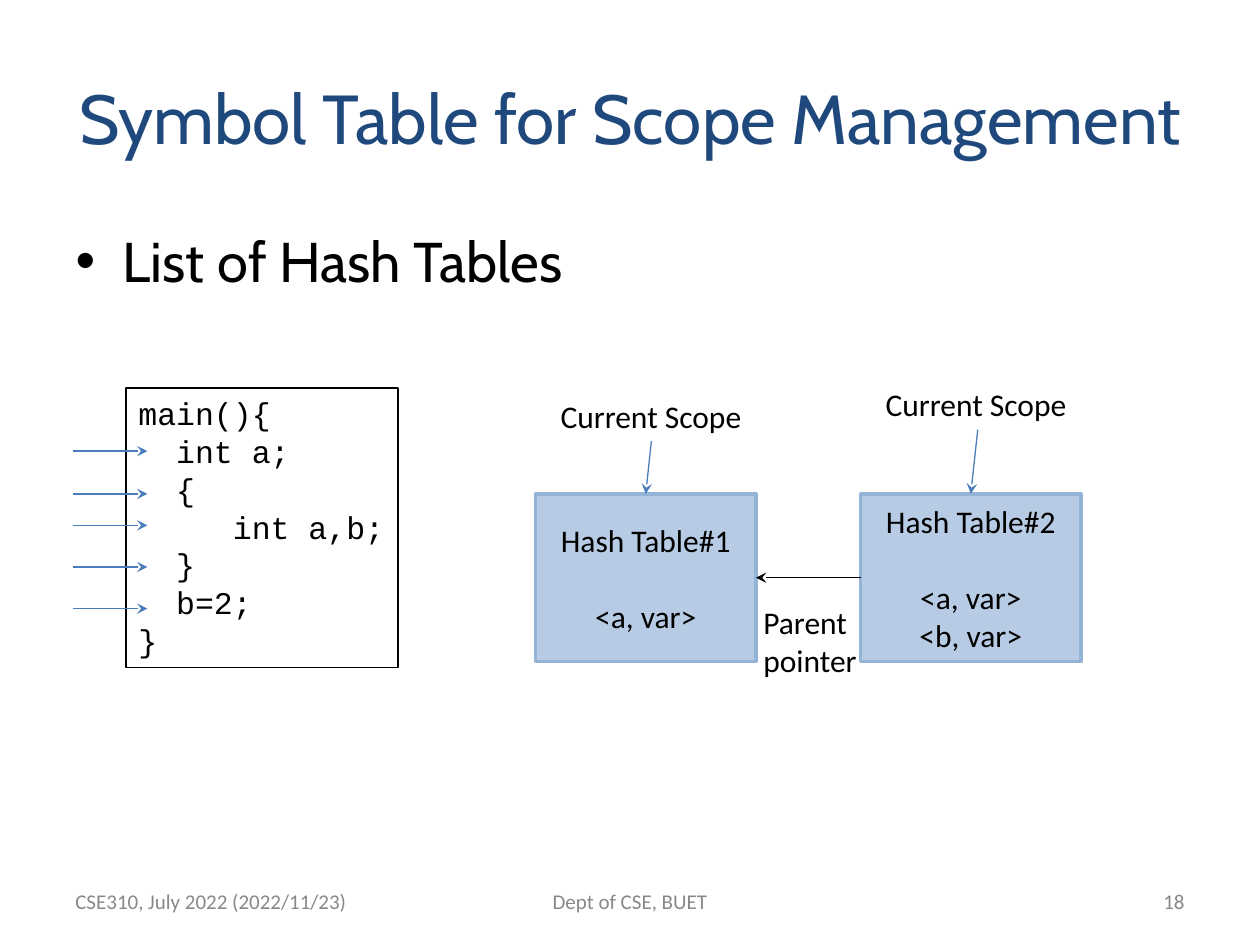
from dataclasses import dataclass
from typing import Any, Optional

from lxml import etree
from pptx import Presentation
from pptx.dml.color import RGBColor
from pptx.enum.shapes import MSO_CONNECTOR, MSO_SHAPE
from pptx.enum.text import MSO_ANCHOR, MSO_AUTO_SIZE, PP_ALIGN
from pptx.oxml.ns import qn
from pptx.util import Inches, Pt

RECT = MSO_SHAPE.RECTANGLE
STRAIGHT = MSO_CONNECTOR.STRAIGHT
TOP, MIDDLE = MSO_ANCHOR.TOP, MSO_ANCHOR.MIDDLE
LEFT, CENTER, RIGHT = PP_ALIGN.LEFT, PP_ALIGN.CENTER, PP_ALIGN.RIGHT
NO_FIT = MSO_AUTO_SIZE.NONE

BLACK = RGBColor(0x00, 0x00, 0x00)
NAVY = RGBColor(0x1F, 0x49, 0x7D)
BLUE = RGBColor(0x4A, 0x7D, 0xBA)
PALE = RGBColor(0xB7, 0xCC, 0xE4)
EDGE = RGBColor(0x93, 0xB3, 0xD7)
GREY = RGBColor(0x88, 0x88, 0x88)

TITLE_FONT = {"name": "Cabin", "size": Pt(39.6), "color": NAVY}
BODY_FONT = {"name": "Cabin", "size": Pt(32), "color": BLACK}
CODE_FONT = {"name": "Courier New", "size": Pt(18), "color": BLACK}
LABEL_FONT = {"name": "Calibri", "size": Pt(18), "color": BLACK}
FOOTER_FONT = {"name": "Calibri", "size": Pt(12), "color": GREY}

CODE_CHAR = 0.15
TABLE_TOP, TABLE_W, TABLE_H = 3.92, 1.75, 1.33
LINE_GAP = Pt(22)


@dataclass
class Box:
    left: float
    top: float
    width: float
    height: float

    def lengths(self) -> list:
        return [Inches(v) for v in (self.left, self.top, self.width, self.height)]


@dataclass
class Arrow:
    x1: float
    y1: float
    x2: float
    y2: float
    color: RGBColor = BLUE


@dataclass
class Label:
    box: Box
    lines: list
    font: dict
    align: Any = LEFT
    anchor: Any = TOP
    wrap: bool = False


@dataclass
class HashTable:
    left: float
    name: str
    entries: list
    scope: Box
    pointer_x: float


CODE = [(0, "main(){"), (2, "int a;"), (2, "{"), (5, "int a,b;"),
        (2, "}"), (2, "b=2;"), (0, "}")]
STEP_YS = [3.58, 3.92, 4.17, 4.5, 4.83]
TABLES = [
    HashTable(4.25, "Hash Table#1", ["<a, var>"], Box(4.35, 3.1, 1.65, 0.4), 5.17),
    HashTable(6.83, "Hash Table#2", ["<a, var>", "<b, var>"],
              Box(6.93, 3.01, 1.65, 0.4), 7.76),
]
LABELS = [
    Label(Box(5.96, 4.74, 0.95, 1.01), ["Parent", "pointer"], LABEL_FONT),
    Label(Box(0.5, 6.95, 2.5, 0.4), ["CSE310, July 2022 (2022/11/23)"],
          FOOTER_FONT, LEFT, MIDDLE, True),
    Label(Box(4.25, 6.95, 1.5, 0.4), ["Dept of CSE, BUET"],
          FOOTER_FONT, CENTER, MIDDLE, True),
    Label(Box(7.17, 6.95, 2.33, 0.4), ["18"], FOOTER_FONT, RIGHT, MIDDLE, True),
]


def set_font(font, fmt: dict) -> None:
    for key, value in fmt.items():
        if key == "color":
            font.color.rgb = value
        else:
            setattr(font, key, value)


def write(sp, lines: list, fmt: dict, align, anchor, wrap: bool = True) -> list:
    tf = sp.text_frame
    settings = {"word_wrap": wrap, "vertical_anchor": anchor, "auto_size": NO_FIT,
                "margin_left": Inches(0.1), "margin_right": Inches(0.1),
                "margin_top": Inches(0.05), "margin_bottom": Inches(0.05)}
    for key, value in settings.items():
        setattr(tf, key, value)
    for i, line in enumerate(lines):
        p = tf.add_paragraph() if i else tf.paragraphs[0]
        p.alignment = align
        r = p.add_run()
        r.text = line
        set_font(r.font, fmt)
    return list(tf.paragraphs)


def place(sp, box: Box) -> None:
    sp.left, sp.top, sp.width, sp.height = box.lengths()


def add_label(slide, label: Label) -> None:
    sp = slide.shapes.add_textbox(*label.box.lengths())
    write(sp, label.lines, label.font, label.align, label.anchor, label.wrap)


def add_rect(slide, box: Box, fill: Optional[RGBColor], line: RGBColor, weight: float):
    sp = slide.shapes.add_shape(RECT, *box.lengths())
    sp.shadow.inherit = False
    if fill is None:
        sp.fill.background()
    else:
        sp.fill.solid()
        sp.fill.fore_color.rgb = fill
    sp.line.color.rgb = line
    sp.line.width = Pt(weight)
    return sp


def add_arrow(slide, arrow: Arrow) -> None:
    ends = [Inches(v) for v in (arrow.x1, arrow.y1, arrow.x2, arrow.y2)]
    cn = slide.shapes.add_connector(STRAIGHT, *ends)
    cn.line.color.rgb = arrow.color
    cn.line.width = Pt(0.75)
    tail = etree.SubElement(cn.line._get_or_add_ln(), qn("a:tailEnd"))
    tail.set("type", "stealth")
    etree.SubElement(cn._element.spPr, qn("a:effectLst"))


def add_code(slide) -> None:
    sp = add_rect(slide, Box(1, 3.08, 2.16, 2.22), None, BLACK, 0.75)
    paras = write(sp, [text for _, text in CODE], CODE_FONT, LEFT, TOP, False)
    for p, (indent, _) in zip(paras, CODE):
        p._p.get_or_add_pPr().set("marL", str(Inches(indent * CODE_CHAR)))
    for y in STEP_YS:
        add_arrow(slide, Arrow(0.58, y, 1.17, y))


def add_hash_table(slide, table: HashTable) -> None:
    box = Box(table.left, TABLE_TOP, TABLE_W, TABLE_H)
    sp = add_rect(slide, box, PALE, EDGE, 2)
    paras = write(sp, [table.name, *table.entries], LABEL_FONT, CENTER, MIDDLE)
    paras[0].space_after = LINE_GAP
    add_label(slide, Label(table.scope, ["Current Scope"], LABEL_FONT))
    add_arrow(slide, Arrow(table.pointer_x, table.scope.top + table.scope.height,
                           table.left + TABLE_W / 2, TABLE_TOP))


def main() -> None:
    prs = Presentation()
    prs.slide_width, prs.slide_height = Inches(10), Inches(7.5)
    slide = prs.slides.add_slide(prs.slide_layouts[1])

    title, body = slide.shapes.title, slide.placeholders[1]
    place(title, Box(0.5, 0.3, 9, 1.25))
    write(title, ["Symbol Table for Scope Management"], TITLE_FONT, CENTER, MIDDLE)
    place(body, Box(0.5, 1.75, 9, 4.95))
    write(body, ["List of Hash Tables"], BODY_FONT, LEFT, TOP)

    add_code(slide)
    for table in TABLES:
        add_hash_table(slide, table)
    first, second = TABLES
    mid = TABLE_TOP + TABLE_H / 2
    add_arrow(slide, Arrow(second.left, mid, first.left + TABLE_W, mid, BLACK))
    for label in LABELS:
        add_label(slide, label)

    prs.save("out.pptx")


if __name__ == "__main__":
    main()
